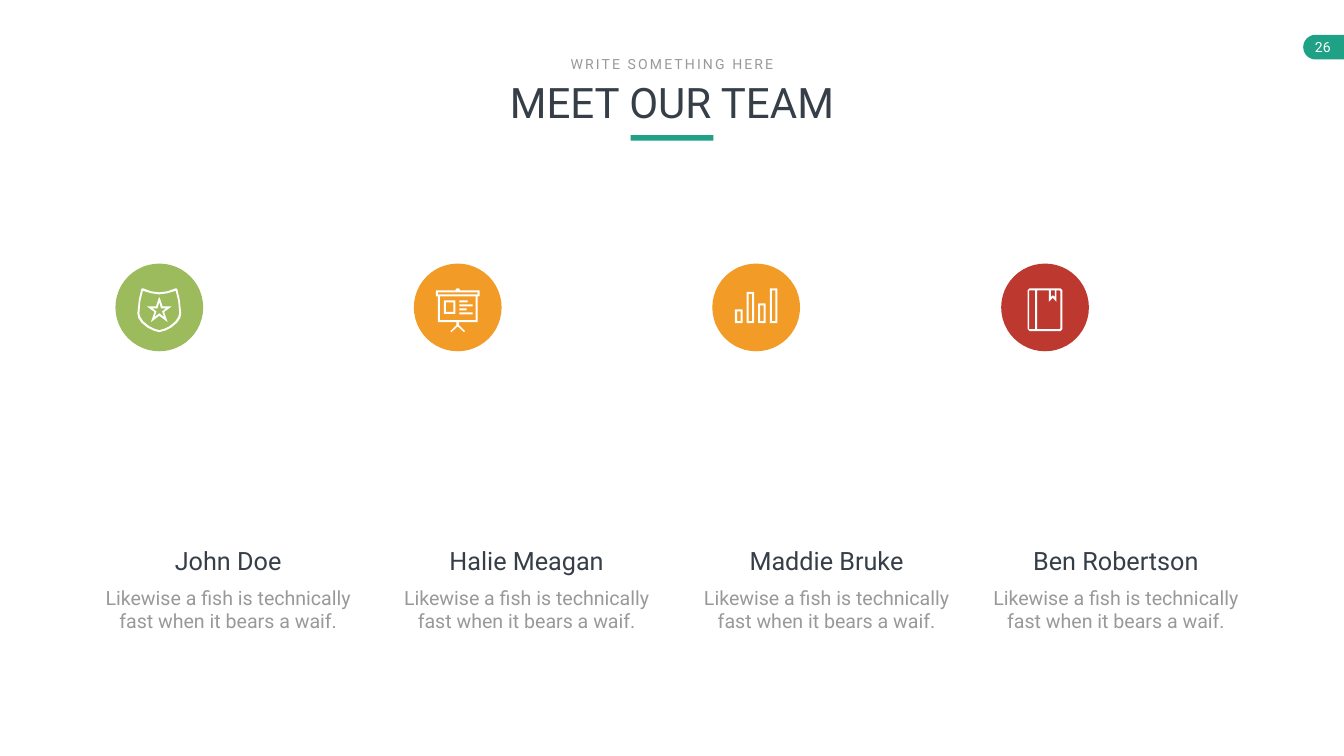
from pptx import Presentation
from pptx.dml.color import RGBColor as RGB
from pptx.enum.shapes import MSO_SHAPE as Shape
from pptx.enum.text import MSO_AUTO_SIZE as Fit, PP_ALIGN as Align
from pptx.util import Inches, Pt

WHITE = RGB(0xFF, 0xFF, 0xFF)
TEAL = RGB(0x1E, 0xA1, 0x85)
INK = RGB(0x36, 0x3E, 0x48)
GREY = RGB(0x99, 0x99, 0x99)
GREEN = RGB(0x9B, 0xBB, 0x5C)
AMBER = RGB(0xF2, 0x9B, 0x26)
RED = RGB(0xBD, 0x39, 0x2F)

WIDE, HIGH = 26.66, 15
MID = WIDE / 2
DISC, DISC_TOP, ICON_TOP = 1.74, 5.23, 5.72
COL, NAME_TOP, BIO_TOP = 5.41, 10.77, 11.57

# Content: name, text column left, disc left, disc colour, icon
BIO = "Likewise a fish is technically fast when it bears a waif."
TEAM = [
    ("John Doe", 1.82, 2.29, GREEN, "shield"),
    ("Halie Meagan", 7.74, 8.21, AMBER, "board"),
    ("Maddie Bruke", 13.69, 14.13, AMBER, "bars"),
    ("Ben Robertson", 19.43, 19.86, RED, "book"),
]

# Text formats
TITLE = {"size": Pt(60), "color": INK}
KICKER = {"size": Pt(20), "color": GREY}
PAGE = {"size": Pt(20), "color": WHITE}
NAME = {"size": Pt(36), "color": INK}
NOTE = {"size": Pt(28), "color": GREY}


# Icon outlines, in hundredths of an inch; inner loops cut holes
def rect(l, t, r, b):
    return [(l, t), (r, t), (r, b), (l, b)]


def soft(l, t, r, b, cut):
    return [(l + cut, t), (r - cut, t), (r, t + cut), (r, b - cut),
            (r - cut, b), (l + cut, b), (l, b - cut), (l, t + cut)]


def frame(l, t, r, b, edge=4):
    return [soft(l, t, r, b, 1), rect(l + edge, t + edge, r - edge, b - edge)]


def mirror(half, span=87):
    return half + [(span - x, y) for x, y in reversed(half)]


HALVES = [
    [(43, 8), (27, 6), (11, 0), (8, 1), (3, 22), (0, 50), (2, 59), (8, 68),
     (20, 78), (32, 84), (43, 87)],
    [(43, 12), (28, 10), (11, 5), (6, 25), (4, 50), (6, 57), (12, 66),
     (23, 75), (33, 80), (43, 83)],
    [(43, 18), (37, 36), (19, 36), (34, 47), (27, 67), (43, 55)],
    [(43, 29), (40, 40), (30, 40), (38, 46), (34, 57), (43, 50)],
]
LINES = [(24, 63), (32, 73), (40, 61), (48, 73)]
TOPS = [42, 7, 30, 0]

ICONS = {
    "shield": [mirror(half) for half in HALVES],
    "board": [
        *frame(0, 4, 87, 16),
        [(4, 16), (8, 16), (8, 63), (79, 63), (79, 16), (83, 16), (83, 67), (4, 67)],
        mirror([(39, 4), (40, 1), (43, 0)]),
        mirror([(41, 67), (41, 73), (29, 85), (31, 87), (43, 76)]),
        *frame(16, 24, 39, 51),
        *[rect(47, top, end, top + 4) for top, end in LINES],
    ],
    "bars": [loop for i, top in enumerate(TOPS)
             for loop in frame(23 * i, top, 23 * i + 15, 69)],
    "book": [
        soft(0, 0, 69, 85, 4),
        rect(3, 4, 15, 81),
        [(19, 4), (42, 4), (42, 27), (50, 19), (57, 27), (57, 4),
         (63, 4), (65, 6), (65, 79), (63, 81), (19, 81)],
        [(46, 4), (54, 4), (54, 17), (50, 14), (46, 17)],
    ],
}

deck = Presentation()
deck.slide_width, deck.slide_height = Inches(WIDE), Inches(HIGH)
slide = deck.slides.add_slide(deck.slide_layouts[6])
shapes = slide.shapes


def paint(shape, color):
    shape.shadow.inherit = False
    shape.fill.solid()
    shape.fill.fore_color.rgb = color
    shape.line.fill.background()
    return shape


def block(kind, color, *area):
    return paint(shapes.add_shape(kind, *map(Inches, area)), color)


def write(text, style, *area, wrap=True):
    box = shapes.add_textbox(*map(Inches, area))
    frm = box.text_frame
    frm.word_wrap = wrap
    frm.auto_size = Fit.SHAPE_TO_FIT_TEXT
    para = frm.paragraphs[0]
    para.alignment = Align.CENTER
    run = para.add_run()
    run.text = text
    font = run.font
    font.name = "Roboto"
    for key, value in style.items():
        if key == "color":
            font.color.rgb = value
        else:
            setattr(font, key, value)
    return run


def draw(loops, mid, top):
    pen = shapes.build_freeform(*loops[0][0], scale=Inches(0.01))
    for loop in loops:
        pen.move_to(*loop[0])
        pen.add_line_segments(loop[1:], close=True)
    span = max(x for loop in loops for x, y in loop) / 100
    paint(pen.convert_to_shape(Inches(mid - span / 2), Inches(top)), WHITE)


# Page badge
block(Shape.FLOWCHART_DELAY, TEAL, 25.85, 0.69, 0.49, 0.49).rotation = 180
block(Shape.RECTANGLE, TEAL, 26.34, 0.69, 0.32, 0.49)
write("26", PAGE, 25.84, 0.72, 0.8, 0.44, wrap=False)

# Heading
block(Shape.RECTANGLE, TEAL, MID - 0.82, 2.68, 1.64, 0.11)
write("MEET OUR TEAM", TITLE, MID - 4.95, 1.47, 9.9, 1.11)
kicker = write("WRITE SOMETHING HERE", KICKER, MID - 2.18, 1.05, 4.36, 0.44, wrap=False)
kicker.font._element.set("spc", "300")

# Team members
for name, left, disc, color, icon in TEAM:
    block(Shape.OVAL, color, disc, DISC_TOP, DISC, DISC)
    draw(ICONS[icon], disc + DISC / 2, ICON_TOP)
    write(name, NAME, left, NAME_TOP, COL, 0.71)
    write(BIO, NOTE, left, BIO_TOP, COL, 1.04)

deck.save("out.pptx")
